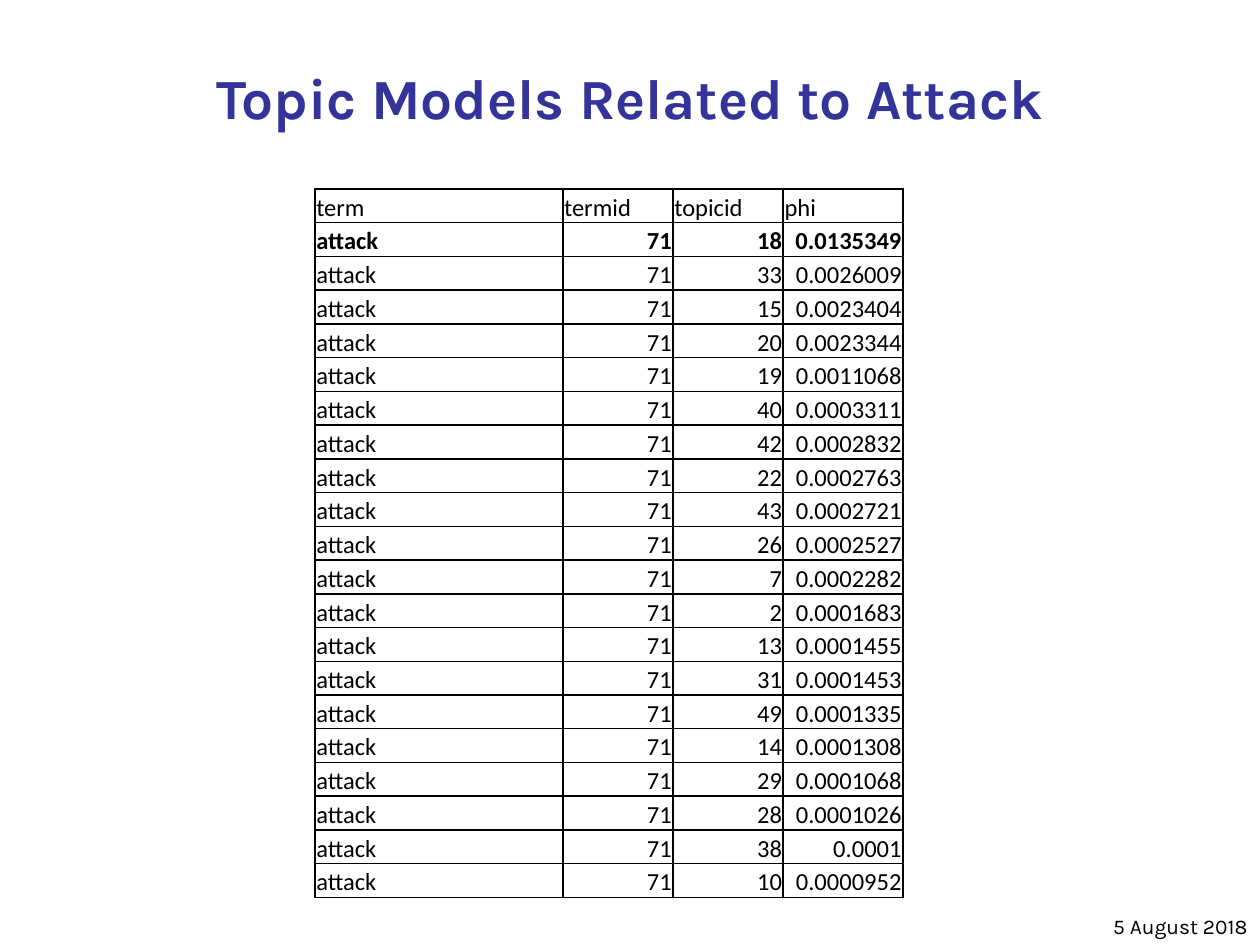
import pptx
import pptx.dml.color
import pptx.enum.text
import pptx.oxml
import pptx.oxml.ns
import pptx.util

Pt = pptx.util.Pt
ALIGN = pptx.enum.text.PP_ALIGN
BOTTOM = pptx.enum.text.MSO_ANCHOR.BOTTOM
COLORS = {"title": "333399", "ink": "000000", "paper": "FFFFFF"}

HEADER = ["term", "termid", "topicid", "phi"]
TERM, TERM_ID = "attack", "71"
TOPICS = [
    ("18", "0.0135349"), ("33", "0.0026009"), ("15", "0.0023404"),
    ("20", "0.0023344"), ("19", "0.0011068"), ("40", "0.0003311"),
    ("42", "0.0002832"), ("22", "0.0002763"), ("43", "0.0002721"),
    ("26", "0.0002527"), ("7", "0.0002282"), ("2", "0.0001683"),
    ("13", "0.0001455"), ("31", "0.0001453"), ("49", "0.0001335"),
    ("14", "0.0001308"), ("29", "0.0001068"), ("28", "0.0001026"),
    ("38", "0.0001"), ("10", "0.0000952"),
]


def write_text(frame, text, font="Calibri", size=14, color="ink", bold=False,
               align=ALIGN.LEFT):
    """Write one formatted paragraph into a text frame."""
    paragraph = frame.paragraphs[0]
    paragraph.alignment = align
    run = paragraph.add_run()
    run.text = text
    run.font.name = font
    run.font.size = Pt(size)
    run.font.bold = bold
    run.font.color.rgb = pptx.dml.color.RGBColor.from_string(COLORS[color])


def draw_borders(cell, color="ink", width=1):
    """Draw a solid line on all four sides of a table cell."""
    properties = cell._tc.get_or_add_tcPr()
    for position, side in enumerate(("lnL", "lnR", "lnT", "lnB")):
        line = pptx.oxml.parse_xml(
            f'<a:{side} {pptx.oxml.ns.nsdecls("a")} w="{Pt(width)}">'
            f'<a:solidFill><a:srgbClr val="{COLORS[color]}"/></a:solidFill>'
            f'</a:{side}>')
        properties.insert(position, line)


class SlideBuilder:
    """Hold the current slide and its shared style."""

    heading_font = "Karla"

    def __init__(self, slide):
        """Start on a slide with a plain background."""
        self.slide = slide
        fill = slide.background.fill
        fill.solid()
        fill.fore_color.rgb = pptx.dml.color.RGBColor.from_string(
            COLORS["paper"])

    def text(self, text, left, top, width, height, **style):
        """Add a wrapped text box anchored at its bottom."""
        box = self.slide.shapes.add_textbox(
            Pt(left), Pt(top), Pt(width), Pt(height))
        box.text_frame.word_wrap = True
        box.text_frame.vertical_anchor = BOTTOM
        write_text(box.text_frame, text, font=self.heading_font, **style)

    def table(self, rows, left, top, widths, row_height, bold_row):
        """Add a ruled table with numbers aligned right below the header."""
        table = self.slide.shapes.add_table(
            len(rows), len(widths), Pt(left), Pt(top), Pt(sum(widths)),
            Pt(row_height * len(rows))).table
        table.first_row = table.horz_banding = False
        for column, width in zip(table.columns, widths):
            column.width = Pt(width)
        for row_index, values in enumerate(rows):
            table.rows[row_index].height = Pt(row_height)
            for column_index, value in enumerate(values):
                cell = table.cell(row_index, column_index)
                cell.fill.background()
                cell.margin_left = cell.margin_right = Pt(0.75)
                cell.margin_top, cell.margin_bottom = Pt(0.75), Pt(0)
                cell.vertical_anchor = BOTTOM
                numeric = row_index > 0 and column_index > 0
                write_text(cell.text_frame, value, bold=row_index == bold_row,
                           align=ALIGN.RIGHT if numeric else ALIGN.LEFT)
                draw_borders(cell)


def main():
    """Build the slide and save it."""
    presentation = pptx.Presentation()
    presentation.slide_width, presentation.slide_height = Pt(720), Pt(540)
    slide = presentation.slides.add_slide(presentation.slide_layouts[6])
    builder = SlideBuilder(slide)
    builder.text("Topic Models Related to Attack", 0, 30, 720, 48.5,
                 size=32.4, color="title", bold=True, align=ALIGN.CENTER)
    builder.text("5 August 2018", 570, 510, 150, 30, size=12,
                 align=ALIGN.RIGHT)
    rows = [HEADER] + [[TERM, TERM_ID, topic, phi] for topic, phi in TOPICS]
    builder.table(rows, left=180, top=108, widths=[141.6, 63, 63, 68.4],
                  row_height=19.3, bold_row=1)
    presentation.save("out.pptx")


main()
